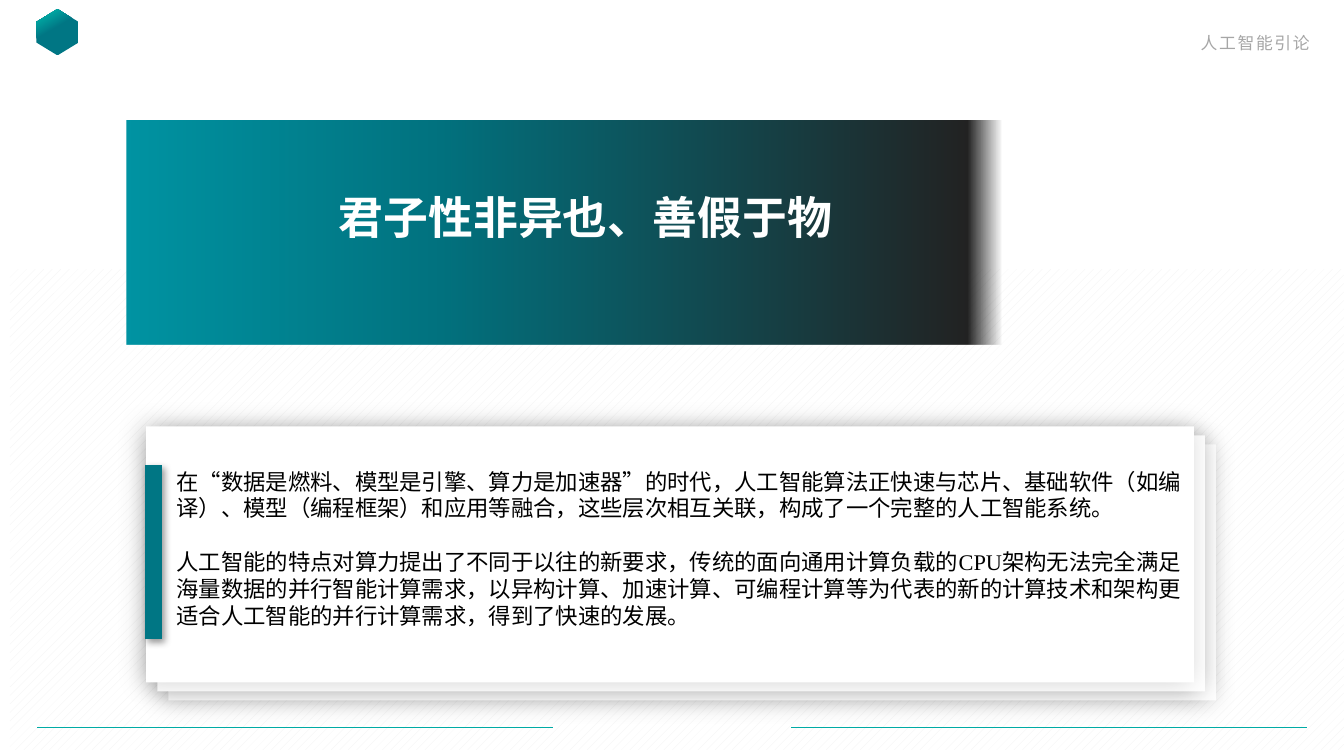
from pptx import Presentation
from pptx.dml.color import RGBColor as RGB
from pptx.enum.dml import MSO_PATTERN as Pattern
from pptx.enum.shapes import MSO_CONNECTOR as Link, MSO_SHAPE as Kind
from pptx.enum.text import MSO_ANCHOR as Anchor, MSO_AUTO_SIZE as Auto, PP_ALIGN as Align
from pptx.oxml import parse_xml
from pptx.oxml.ns import qn
from pptx.util import Inches, Pt
from lxml.etree import SubElement as Sub

COLORS = {
    "white": "FFFFFF", "black": "000000", "gray": "A6A6A6", "hatch": "F2F2F2",
    "teal": "007684", "mint": "00ABA5", "sea": "0093A2", "deep": "01717E",
    "coal": "222222",
}
SANS, SERIF = "Noto Sans CJK SC", "Times New Roman"
NS = 'xmlns:a="http://schemas.openxmlformats.org/drawingml/2006/main"'
TITLE = "君子性非异也、善假于物"
BODY = [
    "在“数据是燃料、模型是引擎、算力是加速器”的时代，人工智能算法正快速与芯片、基础软件（如编译）、模型（编程框架）和应用等融合，这些层次相互关联，构成了一个完整的人工智能系统。",
    "人工智能的特点对算力提出了不同于以往的新要求，传统的面向通用计算负载的CPU架构无法完全满足海量数据的并行智能计算需求，以异构计算、加速计算、可编程计算等为代表的新的计算技术和架构更适合人工智能的并行计算需求，得到了快速的发展。",
]


def color(name):
    return RGB.from_string(COLORS[name])


def place(shape, box):
    shape.left, shape.top, shape.width, shape.height = map(Inches, box)


def add_box(slide, kind, box, fill="white"):
    shape = slide.shapes.add_shape(kind, *map(Inches, box))
    shape.shadow.inherit = False
    shape.fill.solid()
    shape.fill.fore_color.rgb = color(fill)
    shape.line.fill.background()
    return shape


def add_line(slide, start, end, name, width):
    line = slide.shapes.add_connector(Link.STRAIGHT, *map(Inches, start + end))
    line.line.color.rgb = color(name)
    line.line.width = Pt(width)
    Sub(line._element.spPr, qn("a:effectLst"))
    return line


def add_shadow(shape, alpha, blur, dist, angle):
    effects = shape._element.spPr.find(qn("a:effectLst"))
    effects.append(parse_xml(
        f'<a:outerShdw {NS} blurRad="{Pt(blur)}" dist="{Pt(dist)}" '
        f'dir="{angle * 60000}" algn="ctr" rotWithShape="0">'
        f'<a:srgbClr val="{COLORS["black"]}"><a:alpha val="{alpha * 1000}"/>'
        f'</a:srgbClr></a:outerShdw>'))


def set_gradient(shape, stops, angle):
    marks = "".join(
        f'<a:gs pos="{pos * 1000}"><a:srgbClr val="{COLORS[name]}">'
        f'<a:alpha val="{alpha * 1000}"/></a:srgbClr></a:gs>'
        for pos, name, alpha in stops)
    props = shape._element.spPr
    props.replace(props.find(qn("a:solidFill")), parse_xml(
        f'<a:gradFill {NS} rotWithShape="1"><a:gsLst>{marks}</a:gsLst>'
        f'<a:lin ang="{angle * 60000}" scaled="0"/></a:gradFill>'))


def set_text(shape, texts, size, font, name, bold=False):
    frame = shape.text_frame
    frame.text = "\n".join(texts)
    frame.word_wrap = True
    frame.auto_size = Auto.NONE
    frame.vertical_anchor = Anchor.TOP
    for para in frame.paragraphs:
        para.space_before = Pt(0)
        for run in para.runs:
            run.font.size = Pt(size)
            run.font.name = font
            run.font.bold = bold
            run.font.color.rgb = color(name)
            Sub(run.font._element, qn("a:ea")).set("typeface", SANS)
    return frame.paragraphs


def set_indent(para, first):
    props = para._p.get_or_add_pPr()
    props.set("marL", "0")
    props.set("indent", str(Inches(first)))
    return props


def add_header(slide):
    logo = add_box(slide, Kind.HEXAGON, (0.34, 0.11, 0.46, 0.42))
    logo.adjustments[0] = 0.305
    logo.rotation = 90
    set_gradient(logo, [(57, "teal", 100), (87, "mint", 100)], 150)
    label = slide.shapes.add_textbox(*map(Inches, (9.57, 0.28, 3.52, 0.3)))
    para = set_text(label, ["人工智能引论"], 12, SANS, "gray")[0]
    para.alignment = Align.RIGHT
    para.runs[0].font._element.set("spc", "120")


def add_cards(slide):
    # Three stacked cards, the front one last
    for step, alpha in ((2, 22), (1, 30), (0, 19)):
        box = (1.45 + 0.11 * step, 4.23 + 0.09 * step, 10.39, 2.54)
        add_shadow(add_box(slide, Kind.RECTANGLE, box), alpha, 19, 3, 180)
    bar = add_line(slide, (1.52, 6.34), (1.52, 4.61), "teal", 12)
    add_shadow(bar, 40, 5, 3, 45)


def add_banner(slide):
    banner = add_box(slide, Kind.RECTANGLE, (1.26, 1.2, 8.67, 2.22))
    set_gradient(banner, [(0, "sea", 100), (36, "deep", 100),
                          (96, "coal", 100), (100, "coal", 0)], 0)


def fill_title(slide):
    title = slide.shapes.title
    place(title, (2.63, 1.67, 6.48, 0.7))
    para = set_text(title, [TITLE], 32, SANS, "white", True)[0]
    para.alignment = Align.JUSTIFY
    para.line_spacing = 1.3
    para.space_before = Pt(6)
    set_indent(para, 0.63)
    slide.shapes._spTree.append(title._element)


def fill_body(slide):
    body = slide.placeholders[1]
    place(body, (1.65, 4.59, 10.24, 1.72))
    paras = set_text(body, BODY, 16, SERIF, "black")
    for para in paras:
        Sub(set_indent(para, 0), qn("a:buNone"))
    paras[1].space_before = Pt(19)
    slide.shapes._spTree.append(body._element)


def main():
    prs = Presentation()
    prs.slide_width, prs.slide_height = Inches(13.33), Inches(7.5)
    slide = prs.slides.add_slide(prs.slide_layouts[1])

    # Header and hatched ground
    add_header(slide)
    ground = add_box(slide, Kind.RECTANGLE, (0.1, 2.67, 13.23, 4.77))
    ground.fill.patterned()
    ground.fill.pattern = Pattern.DASHED_UPWARD_DIAGONAL
    ground.fill.fore_color.rgb = color("hatch")
    ground.fill.back_color.rgb = color("white")

    # Cards and banner with their texts
    add_cards(slide)
    add_banner(slide)
    fill_title(slide)
    fill_body(slide)

    # Footer rules
    for left in (0.37, 7.85):
        add_line(slide, (left, 7.22), (left + 5.11, 7.22), "mint", 0.5)

    prs.save("out.pptx")


if __name__ == "__main__":
    main()
